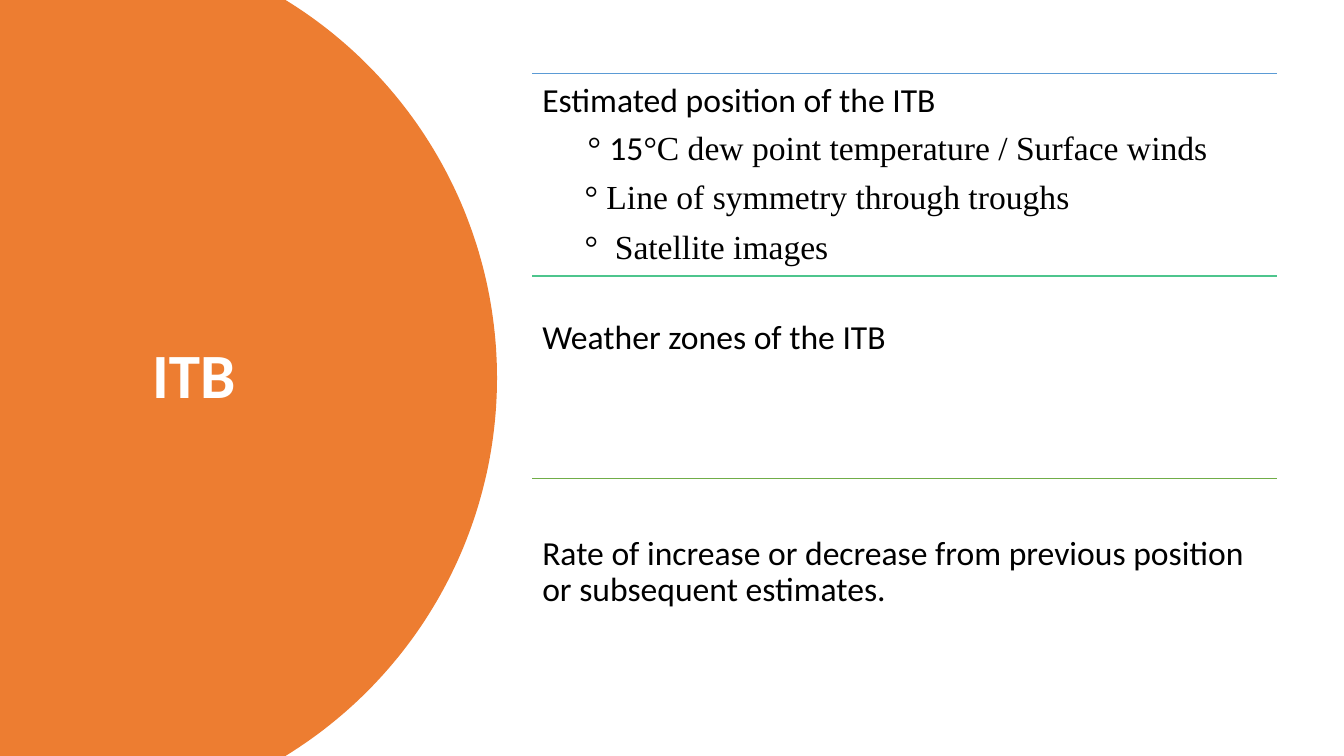
import math
from lxml import etree
from pptx import Presentation
from pptx import util as u
from pptx.dml.color import RGBColor
from pptx.enum import shapes, text
from pptx.oxml.ns import qn

ORANGE = RGBColor(0xED, 0x7D, 0x31)
BLUE = RGBColor(0x5B, 0x9B, 0xD5)
TEAL = RGBColor(0x4D, 0xC5, 0x8D)
GREEN = RGBColor(0x70, 0xAD, 0x47)
BLACK = RGBColor(0, 0, 0)
WHITE = RGBColor(0xFF, 0xFF, 0xFF)
SANS, SERIF = "Calibri", "Times New Roman"

prs = Presentation()
prs.slide_width, prs.slide_height = u.Inches(13.33), u.Inches(7.5)
slide = prs.slides.add_slide(prs.slide_layouts[5])


def write(paragraph, runs, size=24, color=BLACK, bold=False, after=8, indent=0):
    """Fill a paragraph with (wording, font) runs."""
    paragraph.alignment = text.PP_ALIGN.LEFT
    paragraph.line_spacing = 0.9
    paragraph.space_after = u.Pt(after)
    if indent:
        properties = paragraph._p.get_or_add_pPr()
        properties.set("marL", str(u.Inches(indent)))
        properties.set("indent", "0")
    for wording, font in runs:
        run = paragraph.add_run()
        run.text = wording
        run.font.name, run.font.size, run.font.bold = font, u.Pt(size), bold
        run.font.color.rgb = color


# Orange panel: a circle cut off by the slide's left, top and bottom edges
radius, center_x, center_y = 4.4, 0.53, 3.75
half_angle = math.asin(center_y / radius)
STEPS = 120
arc = []
for step in range(STEPS + 1):
    angle = half_angle * (2 * step / STEPS - 1)
    arc.append((u.Inches(center_x + radius * math.cos(angle)),
                u.Inches(center_y + radius * math.sin(angle))))
outline = slide.shapes.build_freeform(0, 0)
outline.add_line_segments(arc + [(0, prs.slide_height)], close=True)
panel = outline.convert_to_shape()
panel.shadow.inherit = False
panel.fill.solid()
panel.fill.fore_color.rgb = ORANGE
panel.line.fill.background()
slide.shapes._spTree.insert(2, panel._element)

# Title on the panel
title = slide.shapes.title
title.left, title.top = 0, u.Inches(1.64)
title.width, title.height = u.Inches(4.4), u.Inches(4.22)
title.text_frame.auto_size = text.MSO_AUTO_SIZE.NONE
title.text_frame.vertical_anchor = text.MSO_ANCHOR.MIDDLE
title.text_frame.margin_left = u.Inches(1.51)
write(title.text_frame.paragraphs[0], [("ITB", SANS)],
      size=45, color=WHITE, bold=True, after=0)

# Topics: rule colour, top inset, then (runs, indent, space after) per paragraph
topics = [
    (BLUE, 0.1, [
        ([("Estimated position of the ITB", SANS)], 0, 8),
        ([("° ", SERIF), ("15", SANS),
          ("°C dew point temperature / Surface winds", SERIF)], 0.45, 9.4),
        ([("° Line of symmetry through troughs", SERIF)], 0.42, 9.4),
        ([("°  Satellite images", SERIF)], 0.42, 9.4),
    ]),
    (TEAL, 0.62, [([("Weather zones of the ITB", SANS)], 0, 8)]),
    (GREEN, 0.57, [([("Rate of increase or decrease from previous position "
                      "or subsequent estimates.", SANS)], 0, 8)]),
]
left, width = u.Inches(5.28), u.Inches(7.39)
first_top, row_height = u.Inches(0.73), u.Inches(2.01)

for row, (rule_color, inset, paragraphs) in enumerate(topics):
    top = first_top + row * row_height
    rule = slide.shapes.add_connector(
        shapes.MSO_CONNECTOR.STRAIGHT, left, top, left + width, top)
    rule.line.color.rgb = rule_color
    rule.line.width = u.Pt(1)
    etree.SubElement(rule._element.spPr, qn("a:effectLst"))

    topic = slide.shapes.add_textbox(left, top, width, row_height).text_frame
    topic.word_wrap = True
    topic.margin_left = topic.margin_right = topic.margin_bottom = u.Inches(0.1)
    topic.margin_top = u.Inches(inset)
    for index, (runs, indent, after) in enumerate(paragraphs):
        paragraph = topic.add_paragraph() if index else topic.paragraphs[0]
        write(paragraph, runs, indent=indent, after=after)

prs.save("out.pptx")
